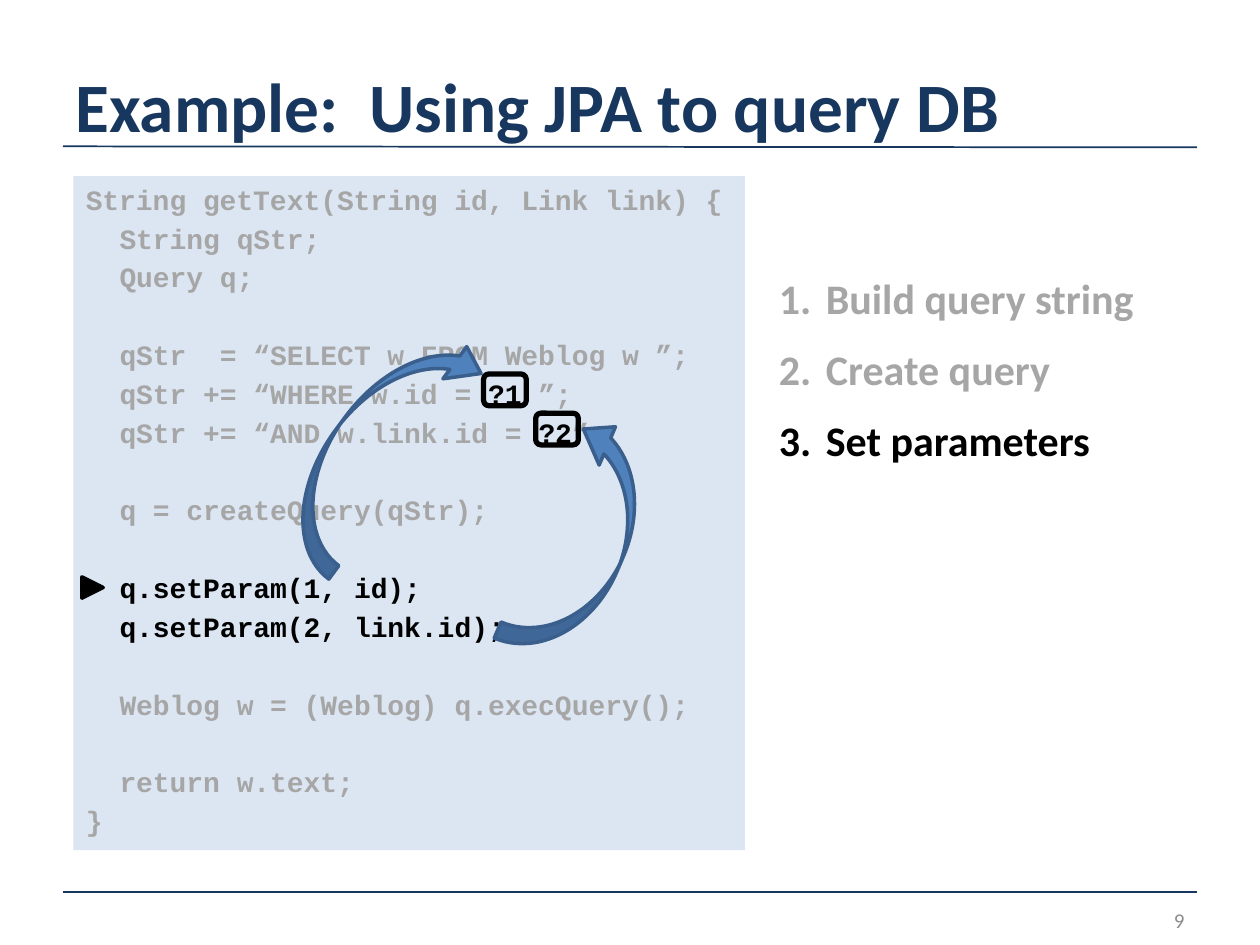
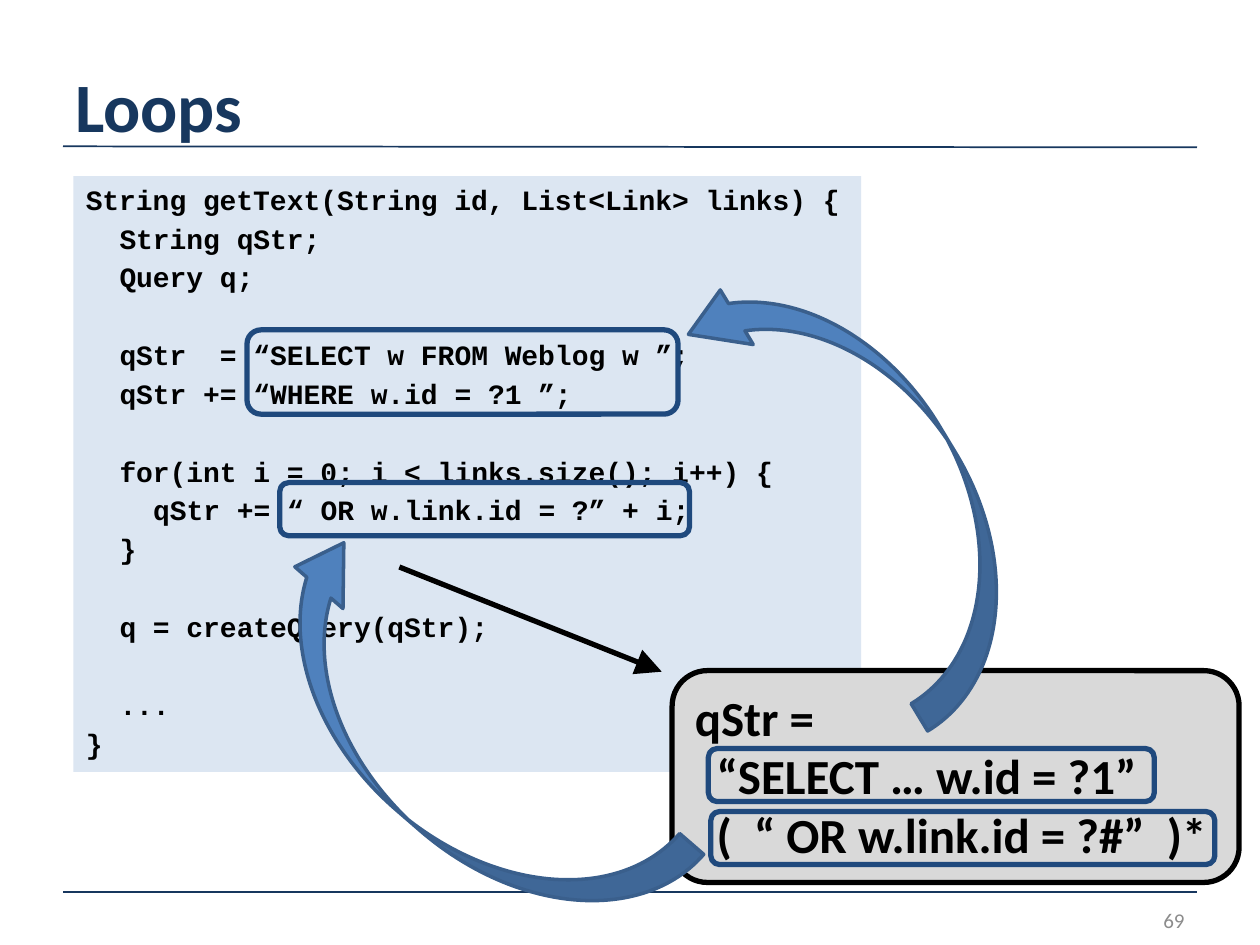
"""Build two slides that walk through Java code composing a database query."""
from dataclasses import dataclass
from typing import Optional, Sequence

from lxml import etree
from pptx import Presentation
from pptx import util as u
from pptx.dml.color import RGBColor
from pptx.enum import shapes, text
from pptx.oxml.ns import qn

COLORS = {
    "navy": "17375E",
    "outline": "1F497D",
    "code_fill": "DCE6F2",
    "panel_fill": "D9D9D9",
    "arrow_fill": "4F81BD",
    "arrow_edge": "3A5F8C",
    "muted": "A6A6A6",
    "number": "8C8C8C",
    "black": "000000",
}
BODY_FONT, CODE_FONT = "Calibri", "Courier New"
CODE_INDENT = 0.34
CODE_SPACING, CODE_PITCH = 3, 22.2


@dataclass(frozen=True)
class Box:
    left: float
    top: float
    width: float
    height: float

    def lengths(self) -> list:
        return [u.Cm(n) for n in (self.left, self.top, self.width, self.height)]


@dataclass(frozen=True)
class Line:
    """One line of text; parts between bars are emphasised."""
    content: str
    columns: int = 0
    blank_above: bool = False


@dataclass(frozen=True)
class CurvedArrow:
    preset: shapes.MSO_SHAPE
    box: Box
    rotation: float
    flips: str
    adjustments: tuple


UP, RIGHT = shapes.MSO_SHAPE.CURVED_UP_ARROW, shapes.MSO_SHAPE.CURVED_RIGHT_ARROW
UP_BEND, RIGHT_BEND = (0.2, 0.48, 0.33), (0.19, 0.38, 0.3)

LINK_CODE = [
    Line("String getText(String id, Link link) {"),
    Line("String qStr;", 2),
    Line("Query q;", 2),
    Line("qStr  = “SELECT w FROM Weblog w ”;", 2, True),
    Line("qStr += “WHERE w.id = |?1| ”;", 2),
    Line("qStr += “AND w.link.id = |?2|”;", 2),
    Line("q = createQuery(qStr);", 2, True),
    Line("|q.setParam(1, id);|", 2, True),
    Line("|q.setParam(2, link.id);|", 2),
    Line("Weblog w = (Weblog) q.execQuery();", 2, True),
    Line("return w.text;", 2, True),
    Line("}"),
]
LOOP_CODE = [
    Line("String getText(String id, List<Link> links) {"),
    Line("String qStr;", 2),
    Line("Query q;", 2),
    Line("qStr  = “SELECT w FROM Weblog w ”;", 2, True),
    Line("qStr += “WHERE w.id = ?1 ”;", 2),
    Line("for(int i = 0; i < links.size(); i++) {", 2, True),
    Line("qStr += “ OR w.link.id = ?” + i;", 4),
    Line("}", 2),
    Line("q = createQuery(qStr);", 2, True),
    Line("...", 2, True),
    Line("}"),
]
STEPS = [Line("Build query string"), Line("Create query"), Line("|Set parameters|")]
QUERY_PATTERN = [
    Line("qStr ="),
    Line("“SELECT … w.id = ?1”", 2),
    Line("(  “ OR w.link.id = ?#”  )*", 2),
]


def rgb(name: str) -> RGBColor:
    return RGBColor.from_string(COLORS[name])


def write(frame, lines: Sequence[Line], *, size: float, color: str = "black",
          font: str = BODY_FONT, bold: bool = True, column: float = 0,
          before: float = 0, after: float = 0, blank: float = 0,
          numbered: bool = False, align=text.PP_ALIGN.LEFT,
          anchor=text.MSO_ANCHOR.TOP) -> None:
    frame.word_wrap = True
    frame.vertical_anchor = anchor
    for index, line in enumerate(lines):
        paragraph = frame.add_paragraph() if index else frame.paragraphs[0]
        paragraph.alignment = align
        paragraph.space_before = u.Pt(before + blank * line.blank_above)
        paragraph.space_after = u.Pt(after)
        properties = paragraph._p.get_or_add_pPr()
        properties.set("marL", str(u.Cm(column * line.columns)))
        properties.set("indent", "0")
        if numbered:
            hang = u.Cm(0.95)
            properties.set("marL", str(hang))
            properties.set("indent", str(-hang))
            etree.SubElement(properties, qn("a:buFont"), typeface="+mj-lt")
            etree.SubElement(properties, qn("a:buAutoNum"), type="arabicPeriod")
        for position, part in enumerate(line.content.split("|")):
            if part:
                run = paragraph.add_run()
                run.text = part
                run.font.name, run.font.size, run.font.bold = font, u.Pt(size), bold
                run.font.color.rgb = rgb("black" if position % 2 else color)


def add_label(slide, box: Box, lines: Sequence[Line], **style) -> None:
    write(slide.shapes.add_textbox(*box.lengths()).text_frame, lines, **style)


def add_block(slide, preset, box: Box, *, fill: Optional[str] = None,
              edge: Optional[str] = None, weight: float = 3):
    block = slide.shapes.add_shape(preset, *box.lengths())
    block.shadow.inherit = False
    if fill:
        block.fill.solid()
        block.fill.fore_color.rgb = rgb(fill)
    else:
        block.fill.background()
    if edge:
        block.line.color.rgb = rgb(edge)
        block.line.width = u.Pt(weight)
    else:
        block.line.fill.background()
    return block


def add_frame(slide, box: Box, edge: str) -> None:
    add_block(slide, shapes.MSO_SHAPE.ROUNDED_RECTANGLE, box, edge=edge)


def add_curve(slide, curve: CurvedArrow) -> None:
    arrow = add_block(slide, curve.preset, curve.box, fill="arrow_fill",
                      edge="arrow_edge", weight=2)
    arrow.rotation = curve.rotation
    for index, amount in enumerate(curve.adjustments):
        arrow.adjustments[index] = amount
    for axis in curve.flips:
        arrow.element.spPr.find(qn("a:xfrm")).set(f"flip{axis}", "1")


def add_line(slide, start: tuple, end: tuple, color: str, weight: float,
             arrowhead: bool = False) -> None:
    line = slide.shapes.add_connector(
        shapes.MSO_CONNECTOR.STRAIGHT, *(u.Cm(n) for n in start + end))
    line.line.color.rgb = rgb(color)
    line.line.width = u.Pt(weight)
    if arrowhead:
        etree.SubElement(line.line._get_or_add_ln(), qn("a:tailEnd"),
                         type="triangle", w="lg", len="lg")
    etree.SubElement(line.element.spPr, qn("a:effectLst"))


def add_code(slide, box: Box, lines: Sequence[Line], color: str) -> None:
    block = add_block(slide, shapes.MSO_SHAPE.RECTANGLE, box, fill="code_fill")
    write(block.text_frame, lines, size=16, color=color, font=CODE_FONT,
          column=CODE_INDENT, before=CODE_SPACING, blank=CODE_PITCH)


def start_slide(deck, title: str, number: int):
    slide = deck.slides.add_slide(deck.slide_layouts[6])
    add_line(slide, (1.27, 2.95), (24.13, 2.97), "navy", 1)
    add_line(slide, (1.27, 17.98), (24.13, 17.98), "navy", 1)
    add_label(slide, Box(1.27, 1.27, 22.86, 1.7), [Line(title)], size=39.6,
              color="navy", anchor=text.MSO_ANCHOR.MIDDLE)
    add_label(slide, Box(18.21, 18.03, 5.92, 1.02), [Line(str(number))], size=12,
              color="number", bold=False, align=text.PP_ALIGN.RIGHT,
              anchor=text.MSO_ANCHOR.MIDDLE)
    return slide


def build_parameters(deck) -> None:
    slide = start_slide(deck, "Example:  Using JPA to query DB", 9)
    add_code(slide, Box(1.48, 3.55, 13.54, 13.59), LINK_CODE, "muted")
    add_label(slide, Box(15.45, 5.36, 8.69, 4.19), STEPS, size=24, color="muted",
              after=12, numbered=True)
    current_line = add_block(slide, shapes.MSO_SHAPE.ISOSCELES_TRIANGLE,
                             Box(1.65, 11.63, 0.43, 0.43),
                             fill="black", edge="black", weight=2)
    current_line.rotation = 90
    add_curve(slide, CurvedArrow(UP, Box(4.83, 8.1, 5.56, 1.68), 126.5, "H", UP_BEND))
    for left, top in ((9.75, 7.54), (10.8, 8.33)):
        add_frame(slide, Box(left, top, 0.86, 0.64), "black")
    add_curve(slide, CurvedArrow(UP, Box(9.25, 10.03, 5, 1.75), 293.1, "", UP_BEND))


def build_loops(deck) -> None:
    slide = start_slide(deck, "Loops", 69)
    add_code(slide, Box(1.48, 3.55, 15.88, 12.01), LOOP_CODE, "black")
    pattern = add_block(slide, shapes.MSO_SHAPE.ROUNDED_RECTANGLE,
                        Box(13.55, 13.52, 11.43, 4.27),
                        fill="panel_fill", edge="black")
    write(pattern.text_frame, QUERY_PATTERN, size=28, column=0.22)
    add_line(slide, (8.05, 11.43), (13.34, 13.54), "black", 3, arrowhead=True)
    for curve in (
        CurvedArrow(RIGHT, Box(15.88, 4.6, 3.38, 9.98), 328.9, "HV", RIGHT_BEND),
        CurvedArrow(RIGHT, Box(7.52, 10.03, 3.38, 10.24), 310.9, "V", RIGHT_BEND),
    ):
        add_curve(slide, curve)
    for fragment in (
        Box(4.98, 6.65, 8.69, 1.7),
        Box(5.64, 9.73, 8.26, 1.07),
        Box(14.28, 15.09, 8.99, 1.07),
        Box(14.33, 16.36, 10.16, 1.07),
    ):
        add_frame(slide, fragment, "outline")


def main() -> None:
    deck = Presentation()
    deck.slide_width, deck.slide_height = u.Cm(25.4), u.Cm(19.05)
    build_parameters(deck)
    build_loops(deck)
    deck.save("out.pptx")


if __name__ == "__main__":
    main()
